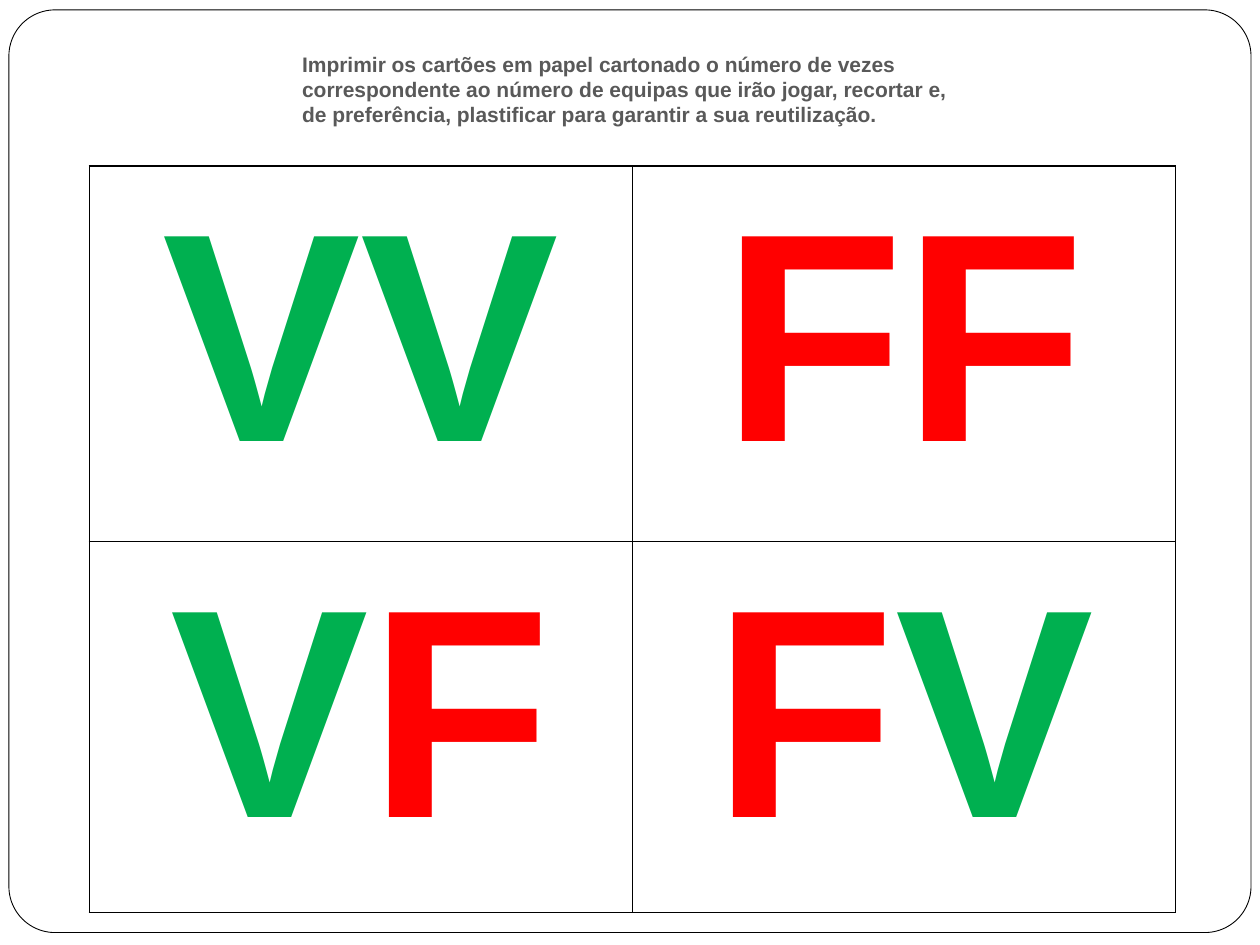
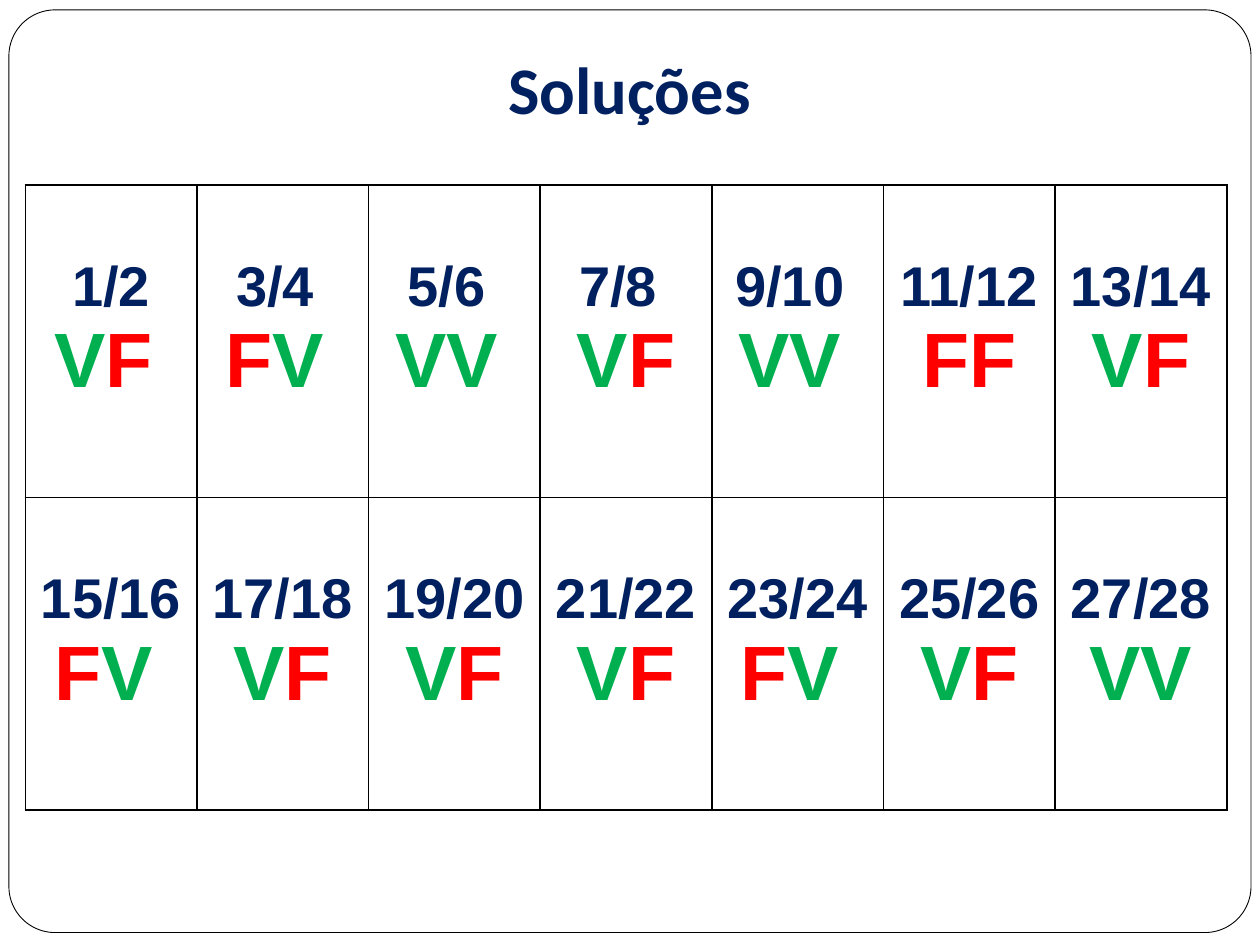
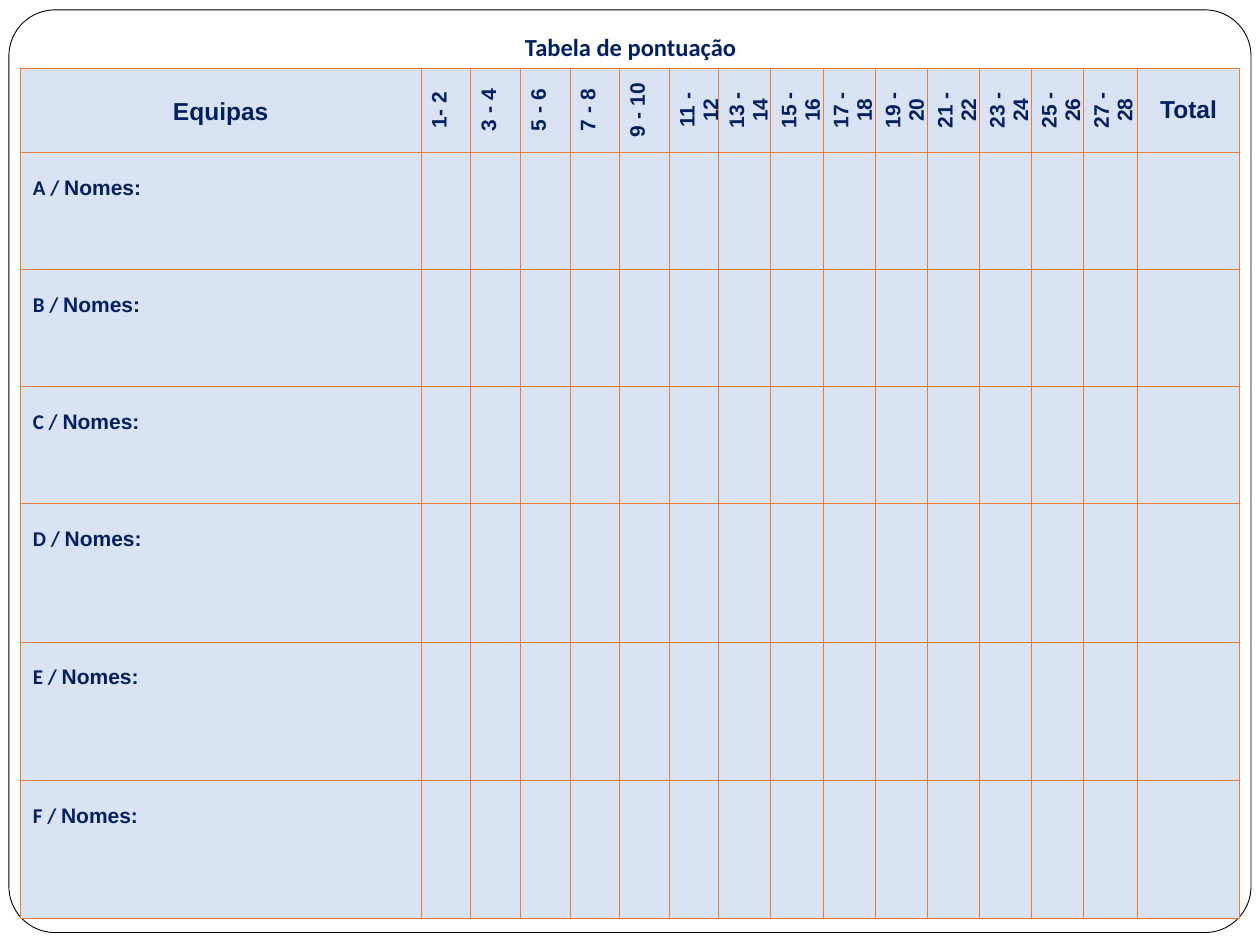
from pptx import Presentation
from pptx import util as u
from pptx.dml.color import RGBColor
from pptx.enum import shapes, text
from pptx.oxml import parse_xml
from pptx.oxml.ns import nsdecls

COLOURS = {
    "white": "FFFFFF",
    "black": "000000",
    "grey": "595959",
    "navy": "002060",
    "pale": "DAE3F3",
    "orange": "ED7D31",
    "V": "00B050",
    "F": "FF0000",
}
CENTRE = text.PP_ALIGN.CENTER


def add_grid(page, left, top, widths, heights, border, border_width, fill):
    table = page.shapes.add_table(
        len(heights), len(widths), u.Cm(left), u.Cm(top),
        u.Cm(sum(widths)), u.Cm(sum(heights))).table
    table.first_row = table.horz_banding = False
    for column, width in zip(table.columns, widths):
        column.width = u.Cm(width)
    for row, height in zip(table.rows, heights):
        row.height = u.Cm(height)
    for cell in table.iter_cells():
        properties = cell._tc.get_or_add_tcPr()
        for side in "LRTB":
            properties.append(parse_xml(
                f'<a:ln{side} {nsdecls("a")} w="{u.Pt(border_width)}"><a:solidFill>'
                f'<a:srgbClr val="{COLOURS[border]}"/></a:solidFill></a:ln{side}>'))
        cell.fill.solid()
        cell.fill.fore_color.rgb = RGBColor.from_string(COLOURS[fill])
    return table


def write(para, pieces, size, align=None, font="Arial"):
    para.alignment = align
    para.font.size = u.Pt(size)
    para.font.bold = True
    para.font.name = font
    for words, colour in pieces:
        span = para.add_run()
        span.text = words
        span.font.color.rgb = RGBColor.from_string(COLOURS[colour])


deck = Presentation()
deck.slide_width, deck.slide_height = u.Cm(25.4), u.Cm(19.05)

headings = [
    ("Imprimir os cartões em papel cartonado o número de vezes correspondente ao "
     "número de equipas que irão jogar, recortar e, de preferência, plastificar "
     "para garantir a sua reutilização.",
     (5.84, 0.91, 13.69, 1.8), 12, "grey", None, "Arial"),
    ("Soluções", (5.8, 0.84, 13.79, 1.88), 38, "navy", CENTRE, "Calibri"),
    ("Tabela de pontuação", (5.82, 0.53, 13.79, 0.86), 14, "navy", CENTRE, "Calibri"),
]
pages = []
for words, place, size, colour, align, font in headings:
    page = deck.slides.add_slide(deck.slide_layouts[6])
    frame = page.shapes.add_shape(
        shapes.MSO_SHAPE.ROUNDED_RECTANGLE, u.Cm(0.18), u.Cm(0.2), u.Cm(25.04), u.Cm(18.6))
    frame.adjustments[0] = 0.05
    frame.shadow.inherit = False
    frame.fill.solid()
    frame.fill.fore_color.rgb = RGBColor.from_string(COLOURS["white"])
    frame.line.color.rgb = RGBColor.from_string(COLOURS["black"])
    frame.line.width = u.Pt(0.5)
    box = page.shapes.add_textbox(*[u.Cm(length) for length in place])
    box.text_frame.word_wrap = True
    write(box.text_frame.paragraphs[0], [(words, colour)], size, align, font)
    pages.append(page)
cards_page, answers_page, scores_page = pages

cards = add_grid(cards_page, 1.8, 3.35, [10.95] * 2, [7.57, 7.47], "black", 1, "white")
for cell, answer in zip(cards.iter_cells(), ["VV", "FF", "VF", "FV"]):
    write(cell.text_frame.paragraphs[0], [(letter, letter) for letter in answer], 170, CENTRE)

SPACE_WIDTH = 8.9
answers = [
    ("VF", 0, 17.8), ("FV", 17.8, 12.2), ("VV", 8.9, 17.8), ("VF", 8.9, 0),
    ("VV", 8.9, 8.9), ("FF", 0, 0), ("VF", 0, 0),
    ("FV", 0, 21.1), ("VF", 0, 0), ("VF", 0, 0), ("VF", 0, 0),
    ("FV", 0, 8.9), ("VF", 0, 0), ("VV", 0, 0),
]
solutions = add_grid(answers_page, 0.51, 3.73, [3.46] * 7, [6.3] * 2, "black", 1, "white")
for index, (cell, (answer, label_gap, answer_gap)) in enumerate(
        zip(solutions.iter_cells(), answers)):
    cell.margin_top = u.Cm(1.42)
    label_para = cell.text_frame.paragraphs[0]
    answer_para = cell.text_frame.add_paragraph()
    write(label_para, [(f"{2 * index + 1}/{2 * index + 2}", "navy")], 32, CENTRE)
    write(answer_para, [(letter, letter) for letter in answer], 44, CENTRE)
    for para, gap in [(label_para, label_gap), (answer_para, answer_gap)]:
        if gap:
            span = para.add_run()
            span.text = " "
            span.font.size = u.Pt(32)
            span.font._element.set("spc", str(round((gap - SPACE_WIDTH) * 100)))

scores = add_grid(
    scores_page, 0.41, 1.37, [8.08] + [1] * 6 + [1.05] * 7 + [1.09, 2.06],
    [1.7] + [2.36] * 3 + [2.79] * 3, "orange", 0.5, "pale")
teams_cell = scores.cell(0, 0)
teams_cell.margin_top = u.Cm(0.61)
write(teams_cell.text_frame.paragraphs[0], [("Equipas", "navy")], 14, CENTRE)
for column in range(1, 15):
    cell = scores.cell(0, column)
    cell.vertical_anchor = text.MSO_ANCHOR.MIDDLE
    cell._tc.get_or_add_tcPr().set("vert", "vert270")
    label = "1- 2" if column == 1 else f"{2 * column - 1} - {2 * column}"
    write(cell.text_frame.paragraphs[0], [(label, "navy")], 12, CENTRE)
total_cell = scores.cell(0, 15)
total_cell.vertical_anchor = text.MSO_ANCHOR.MIDDLE
write(total_cell.text_frame.paragraphs[0], [("Total", "navy")], 14, CENTRE)
for row, team in enumerate("ABCDEF", start=1):
    cell = scores.cell(row, 0)
    cell.margin_top = u.Cm(0.46)
    para = cell.text_frame.paragraphs[0]
    write(para, [(f"{team} / ", "navy"), ("Nomes:", "navy")], 12)
    para.runs[0].font.name = "Calibri"

deck.save("out.pptx")
